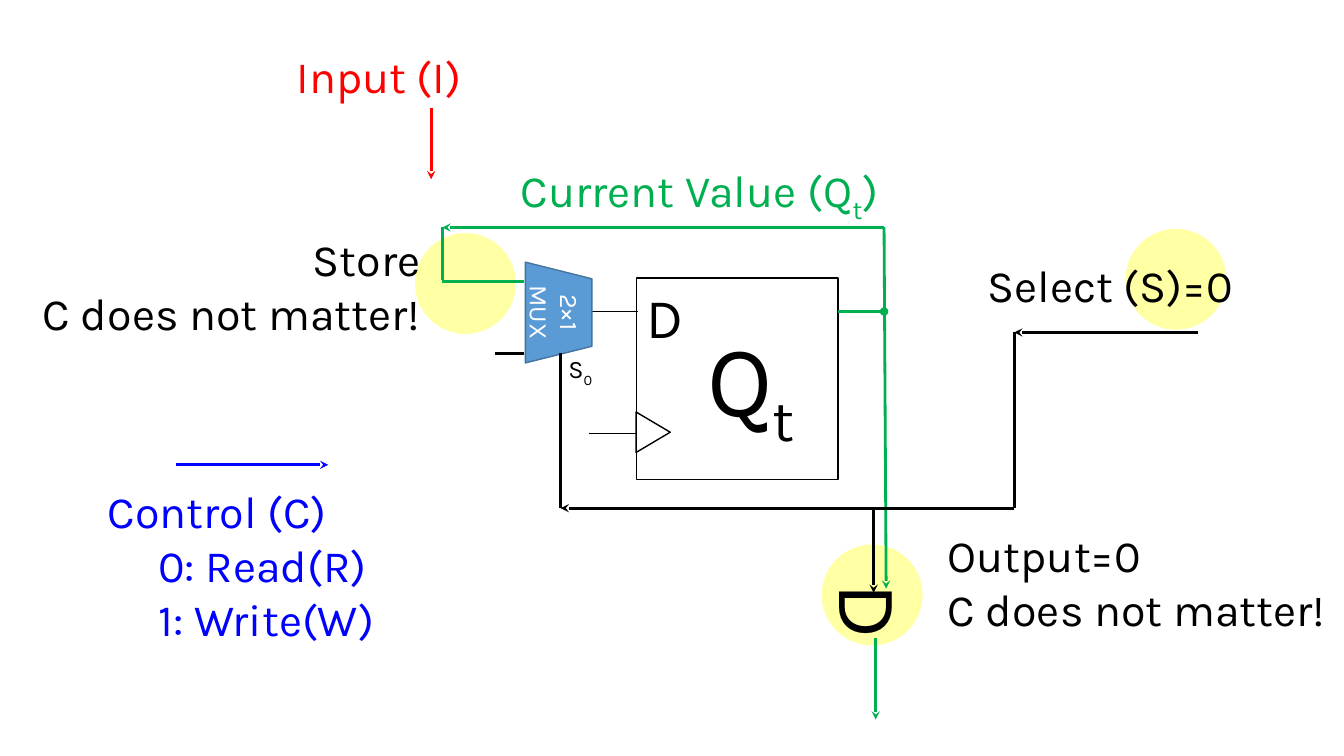
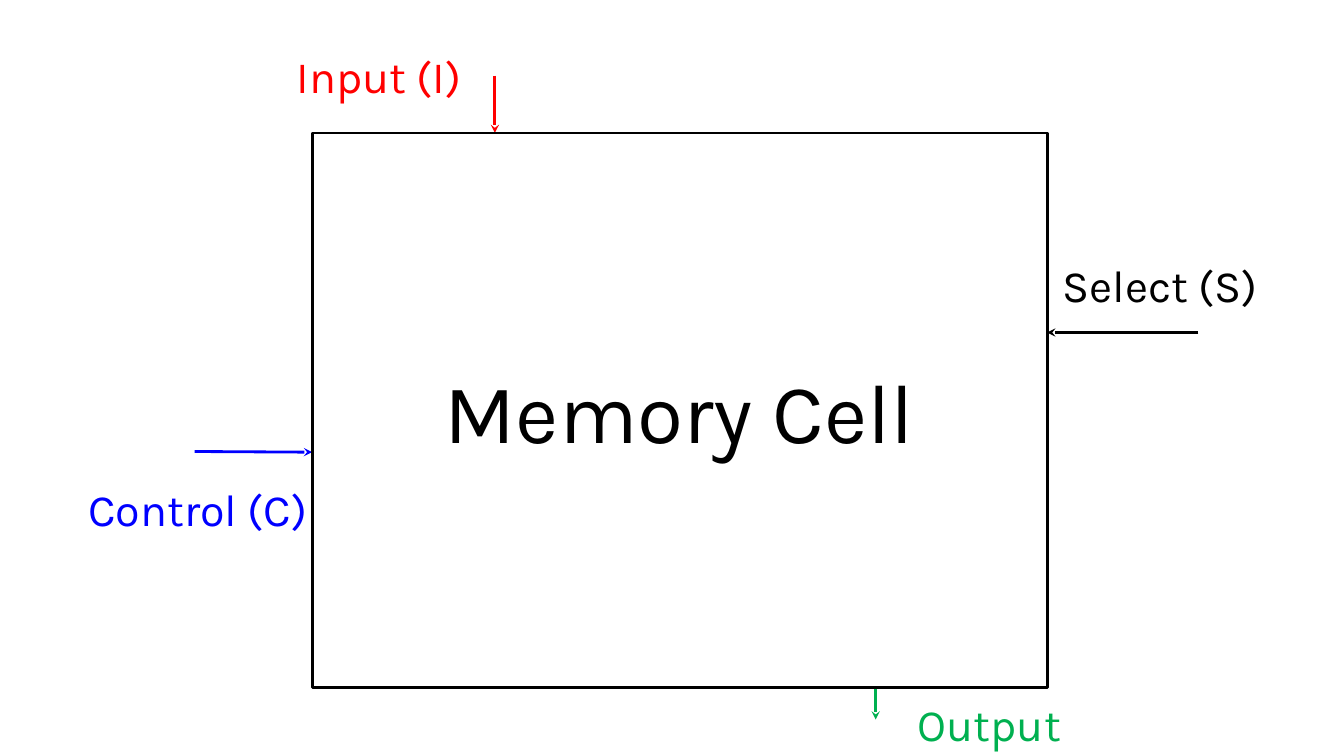
from lxml import etree
from pptx import Presentation
from pptx.dml.color import RGBColor
from pptx.enum import shapes, text
from pptx.oxml import ns
from pptx.util import Pt

BLACK, WHITE, RED, BLUE, GREEN = "000000", "FFFFFF", "FF0000", "0000FF", "00B050"
YELLOW, MUX_FILL, MUX_EDGE = "FFFF00", "5B9BD5", "43739E"
LEFT, CENTER, RIGHT = text.PP_ALIGN.LEFT, text.PP_ALIGN.CENTER, text.PP_ALIGN.RIGHT
SHAPE = shapes.MSO_SHAPE


def rgb(value):
    return RGBColor.from_string(value)


class Diagram:
    font = "Karla"
    label_size = 32
    wire_width = 2

    def __init__(self):
        self.deck = Presentation()
        self.deck.slide_width = Pt(960)
        self.deck.slide_height = Pt(540)
        self.slide = None

    def new_slide(self):
        self.slide = self.deck.slides.add_slide(self.deck.slide_layouts[6])

    def set_lines(self, frame, lines, size, color, align, indents=()):
        frame.word_wrap = True
        for number, line in enumerate(lines):
            paragraph = frame.paragraphs[0] if number == 0 else frame.add_paragraph()
            paragraph.alignment = align
            if number < len(indents) and indents[number]:
                properties = paragraph._p.get_or_add_pPr()
                properties.set("marL", str(Pt(indents[number])))
                properties.set("indent", "0")
            for position, part in enumerate(line.split("_")):
                if not part:
                    continue
                run = paragraph.add_run()
                run.text = part
                run.font.name = self.font
                run.font.size = Pt(size)
                run.font.color.rgb = rgb(color)
                if position % 2:
                    run._r.get_or_add_rPr().set("baseline", "-25000")

    def label(self, box, lines, color=BLACK, align=LEFT, size=label_size, turn=0, indents=()):
        label = self.slide.shapes.add_textbox(*map(Pt, box))
        label.rotation = turn
        self.set_lines(label.text_frame, lines, size, color, align, indents)

    def block(self, kind, box, fill=None, edge=None, width=1, turn=0, opacity=100):
        block = self.slide.shapes.add_shape(kind, *map(Pt, box))
        block.shadow.inherit = False
        block.rotation = turn
        if fill:
            block.fill.solid()
            block.fill.fore_color.rgb = rgb(fill)
            if opacity < 100:
                color = block._element.spPr.find(".//" + ns.qn("a:srgbClr"))
                etree.SubElement(color, ns.qn("a:alpha"), val=str(opacity * 1000))
        else:
            block.fill.background()
        if edge:
            block.line.color.rgb = rgb(edge)
            block.line.width = Pt(width)
        else:
            block.line.fill.background()
        return block.text_frame

    def highlight(self, left, top):
        self.block(SHAPE.OVAL, (left, top, 72, 72), YELLOW, opacity=36)

    def wire(self, start, end, color=BLACK, tip=None, width=wire_width):
        wire = self.slide.shapes.add_connector(
            shapes.MSO_CONNECTOR.STRAIGHT, *map(Pt, start + end))
        wire.line.color.rgb = rgb(color)
        wire.line.width = Pt(width)
        if tip:
            outline = wire._element.spPr.find(ns.qn("a:ln"))
            etree.SubElement(outline, ns.qn("a:tailEnd"), type=tip)
        etree.SubElement(wire._element.spPr, ns.qn("a:effectLst"))

    def arrow(self, start, end, color=BLACK):
        self.wire(start, end, color, "stealth")

    def input_label(self):
        self.label((127.5, 31, 286.5, 46), ["Input (I)"], RED, CENTER)

    def output_arrow(self):
        self.arrow((625.5, 456), (625.5, 514), GREEN)


def draw_store_circuit(d):
    d.new_slide()
    for corner in ((296.5, 166.5), (804, 163.5), (587, 389)):
        d.highlight(*corner)

    flip_flop = d.block(SHAPE.RECTANGLE, (454.5, 198.5, 144, 144), WHITE, BLACK)
    flip_flop.vertical_anchor = text.MSO_ANCHOR.TOP
    d.set_lines(flip_flop, ["D"], 40, BLACK, LEFT)
    d.block(SHAPE.ISOSCELES_TRIANGLE, (452, 296.5, 29, 24.5), edge=BLACK, turn=90)
    d.wire((421, 309.5), (454.5, 309.5), width=0.5)
    d.wire((422.5, 222.5), (456, 222.5), width=0.5)

    mux = d.block(SHAPE.TRAPEZOID, (363, 199.5, 72, 47.5), MUX_FILL, MUX_EDGE, turn=90)
    mux.vertical_anchor = text.MSO_ANCHOR.MIDDLE
    d.set_lines(mux, ["2×1", "MUX"], 18, WHITE, CENTER)

    feedback_left, feedback_top, junction = 316, 162.5, (631.5, 222.5)
    corner = (junction[0], feedback_top)
    d.wire((598.5, 222.5), junction, GREEN, "oval")
    d.wire(junction, corner, GREEN)
    d.arrow(corner, (feedback_left, feedback_top), GREEN)
    d.wire((feedback_left, feedback_top), (feedback_left, 200), GREEN)
    d.wire((feedback_left, 201), (374.5, 201), GREEN)
    d.arrow(corner, (633, 420.5), GREEN)

    select_x, select_y, bus_y, selector_x = 724.5, 237.5, 363, 400.5
    d.arrow((856, select_y), (select_x, select_y))
    d.wire((select_x, select_y), (select_x, bus_y))
    d.arrow((select_x, bus_y), (selector_x, bus_y))
    d.wire((selector_x, bus_y), (selector_x, 252.5))
    d.wire((353.5, 252.5), (374.5, 252.5))

    d.arrow((308, 77), (308, 128), RED)
    d.arrow((126, 332), (234.5, 332), BLUE)

    d.label((399, 249, 52, 29), ["S_0"], size=18)
    d.label((670, 373.5, 288, 85), ["Output=0", "C does not matter!"])
    d.label((19.5, 162, 288, 85), ["Store", "C does not matter!"], align=RIGHT)
    d.label((498, 222, 85, 94), ["Q_t"], size=72)
    d.label((70, 342, 286.5, 124), ["Control (C)", "0: Read(R)", "1: Write(W)"],
            BLUE, indents=(0, 36, 36))
    d.label((356.5, 113, 286.5, 46), ["Current Value (Q_t_)"], GREEN, CENTER)
    d.input_label()
    d.label((650, 180.5, 286.5, 46), ["Select (S)=0"], align=CENTER)
    d.label((598.5, 394.5, 49.5, 80), ["D"], size=60, turn=90)
    d.arrow((629.5 - 5.5, bus_y), (624, 423.5))
    d.output_arrow()


def draw_memory_cell(d):
    d.new_slide()
    d.arrow((353.5, 54), (353.5, 95), RED)
    d.arrow((856, 237.5), (748, 237.5))
    d.arrow((139, 322.5), (223, 323), BLUE)
    d.output_arrow()
    d.input_label()
    d.label((700, 180.5, 258, 46), ["Select (S)"], align=CENTER)
    d.label((56, 340.5, 286.5, 46), ["Control (C)"], BLUE)
    d.label((648.5, 494, 288, 46), ["Output"], GREEN)
    cell = d.block(SHAPE.RECTANGLE, (223, 95, 525, 396), WHITE, BLACK, 2)
    cell.vertical_anchor = text.MSO_ANCHOR.MIDDLE
    d.set_lines(cell, ["Memory Cell"], 60, BLACK, CENTER)


def main():
    diagram = Diagram()
    draw_store_circuit(diagram)
    draw_memory_cell(diagram)
    diagram.deck.save("out.pptx")


if __name__ == "__main__":
    main()
